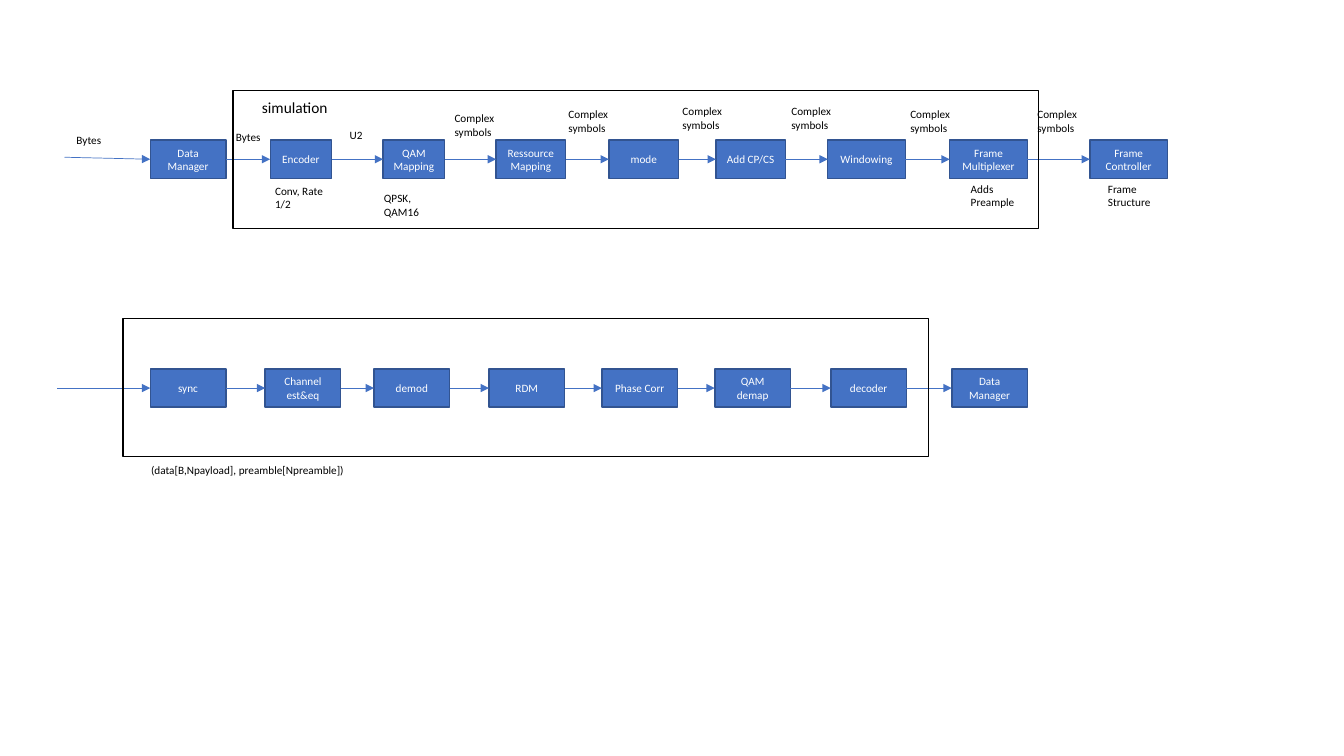
"""Build a slide with the transmit and receive chains of a modem."""
from dataclasses import dataclass
from itertools import pairwise
from typing import Any

from lxml import etree
from pptx import Presentation
from pptx import util as u
from pptx.dml.color import RGBColor
from pptx.enum import shapes, text
from pptx.oxml import ns


@dataclass(frozen=True)
class Theme:
    font: str = "Calibri"
    small: float = 8
    heading: float = 11
    block: RGBColor = RGBColor(0x44, 0x72, 0xC4)
    edge: RGBColor = RGBColor(0x32, 0x54, 0x91)
    ink: RGBColor = RGBColor(0, 0, 0)
    paper: RGBColor = RGBColor(255, 255, 255)
    outline: float = 1
    arrow: float = 0.5


@dataclass(frozen=True)
class Block:
    label: str
    left: float
    width: float = 0.75


@dataclass(frozen=True)
class Chain:
    top: float
    entry: tuple[float, float]
    blocks: tuple[Block, ...]


@dataclass(frozen=True)
class Label:
    words: str
    left: float
    top: float
    width: float
    height: float = 0.37
    size: float = Theme.small
    wrap: bool = True


THEME = Theme()
BLOCK_HEIGHT = 0.38
FRAME_SIZE = (7.99, 1.37)
LEFT_SITE, RIGHT_SITE = 1, 3

TRANSMITTER = Chain(1.39, (0.64, 1.56), (
    Block("Data Manager", 1.49),
    Block("Encoder", 2.68, 0.61),
    Block("QAM\nMapping", 3.8, 0.61),
    Block("Ressource\nMapping", 4.92, 0.69),
    Block("mode", 6.04, 0.69),
    Block("Add CP/CS", 7.1, 0.69),
    Block("Windowing", 8.21, 0.77),
    Block("Frame Multiplexer", 9.42, 0.77),
    Block("Frame Controller", 10.81, 0.77),
))
RECEIVER = Chain(3.66, (0.57, 3.85), (
    Block("sync", 1.49),
    Block("Channel est&eq", 2.63),
    Block("demod", 3.71),
    Block("RDM", 4.85),
    Block("Phase Corr", 5.97),
    Block("QAM demap", 7.09),
    Block("decoder", 8.24),
    Block("Data Manager", 9.44),
))
FRAMES = ((2.31, 0.9), (1.22, 3.16))

SYMBOL_SPOTS = ((4.41, 1.06), (5.54, 1.02), (6.67, 0.99),
                (7.75, 0.99), (8.93, 1.02), (10.19, 1.02))
LABELS = (
    Label("Bytes", 0.66, 1.27, 0.52, 0.24),
    Label("Bytes", 2.24, 1.24, 0.52, 0.24),
    Label("U2", 3.37, 1.22, 0.52, 0.24),
    *(Label("Complex symbols", left, top, 0.66) for left, top in SYMBOL_SPOTS),
    Label("Conv, Rate 1/2", 2.63, 1.78, 0.77),
    Label("QPSK, QAM16", 3.71, 1.85, 0.77),
    Label("Adds Preample", 9.53, 1.76, 0.77),
    Label("Frame Structure", 10.89, 1.76, 0.77),
    Label("simulation", 2.5, 0.92, 0.86, 0.29, THEME.heading, False),
    Label("(data[B,Npayload], preamble[Npreamble])", 1.4, 4.55, 2.14, 0.24, wrap=False),
)


def apply(target: Any, values: dict[str, Any]) -> None:
    """Set each named attribute on the target."""
    for name, value in values.items():
        setattr(target, name, value)


def write(shape: Any, words: str, size: float, color: RGBColor,
          frame_format: dict[str, Any], alignment: Any = None) -> None:
    """Fill a shape with text in one style."""
    frame = shape.text_frame
    frame.text = words
    apply(frame, frame_format)
    for paragraph in frame.paragraphs:
        paragraph.alignment = alignment
        for run in paragraph.runs:
            apply(run.font, {"name": THEME.font, "size": u.Pt(size)})
            run.font.color.rgb = color


def add_rectangle(slide: Any, left: float, top: float, width: float, height: float,
                  line: RGBColor, fill: RGBColor | None = None) -> Any:
    """Draw an outlined rectangle, filled when a colour is given."""
    shape = slide.shapes.add_shape(
        shapes.MSO_SHAPE.RECTANGLE, *map(u.Inches, (left, top, width, height)))
    shape.shadow.inherit = False
    if fill is None:
        shape.fill.background()
    else:
        shape.fill.solid()
        shape.fill.fore_color.rgb = fill
    shape.line.color.rgb = line
    shape.line.width = u.Pt(THEME.outline)
    return shape


def add_block(slide: Any, block: Block, top: float) -> Any:
    """Draw one processing block."""
    shape = add_rectangle(slide, block.left, top, block.width, BLOCK_HEIGHT,
                          THEME.edge, THEME.block)
    write(shape, block.label, THEME.small, THEME.paper,
          {"word_wrap": True, "vertical_anchor": text.MSO_ANCHOR.MIDDLE},
          text.PP_ALIGN.CENTER)
    return shape


def add_arrow(slide: Any, start: tuple[float, float], target: Any) -> Any:
    """Draw an arrow from a point to the left side of a block."""
    x, y = map(u.Inches, start)
    arrow = slide.shapes.add_connector(shapes.MSO_CONNECTOR.STRAIGHT, x, y, x, y)
    arrow.end_connect(target, LEFT_SITE)
    apply(arrow.line, {"width": u.Pt(THEME.arrow)})
    arrow.line.color.rgb = THEME.block
    properties = arrow.element.spPr
    etree.SubElement(properties.find(ns.qn("a:ln")), ns.qn("a:tailEnd"), type="triangle")
    etree.SubElement(properties, ns.qn("a:effectLst"))
    return arrow


def add_chain(slide: Any, chain: Chain) -> None:
    """Draw a row of blocks joined by arrows."""
    blocks = [add_block(slide, block, chain.top) for block in chain.blocks]
    add_arrow(slide, chain.entry, blocks[0])
    for source, target in pairwise(blocks):
        add_arrow(slide, chain.entry, target).begin_connect(source, RIGHT_SITE)


def add_label(slide: Any, label: Label) -> None:
    """Draw a free text label."""
    box = slide.shapes.add_textbox(
        *map(u.Inches, (label.left, label.top, label.width, label.height)))
    write(box, label.words, label.size, THEME.ink,
          {"word_wrap": label.wrap, "auto_size": text.MSO_AUTO_SIZE.SHAPE_TO_FIT_TEXT})


def main() -> None:
    """Create the slide and save it."""
    presentation = Presentation()
    apply(presentation, {"slide_width": u.Inches(13.33), "slide_height": u.Inches(7.5)})
    slide = presentation.slides.add_slide(presentation.slide_layouts.get_by_name("Blank"))
    for chain in (TRANSMITTER, RECEIVER):
        add_chain(slide, chain)
    for left, top in FRAMES:
        add_rectangle(slide, left, top, *FRAME_SIZE, THEME.ink)
    for label in LABELS:
        add_label(slide, label)
    presentation.save("out.pptx")


main()
